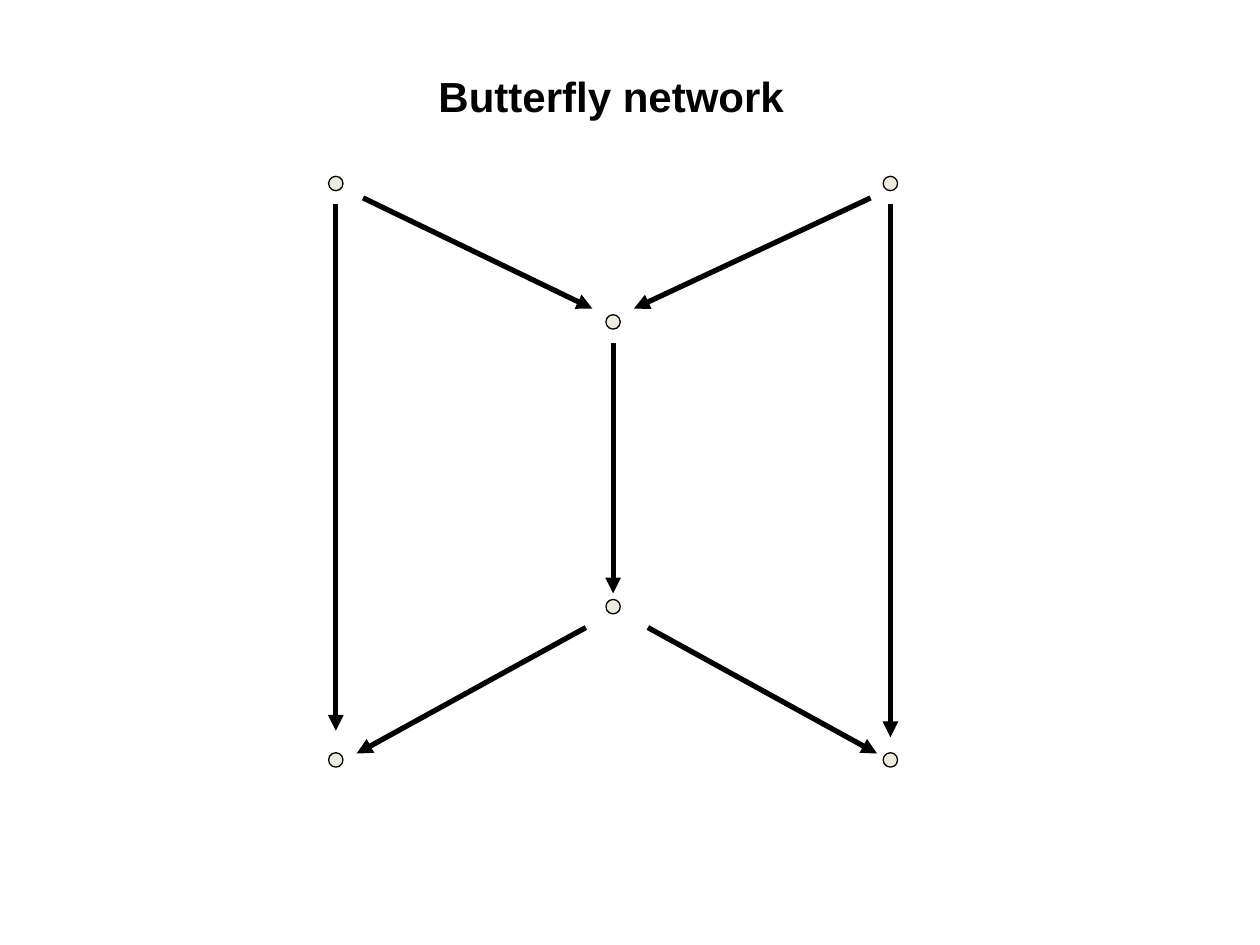
from dataclasses import dataclass

from lxml.etree import SubElement
from pptx import Presentation
from pptx.dml.color import RGBColor
from pptx.enum.shapes import MSO_CONNECTOR, MSO_SHAPE
from pptx.oxml.ns import qn
from pptx.util import Cm, Pt


@dataclass(frozen=True)
class Theme:
    ink: RGBColor = RGBColor(0x00, 0x00, 0x00)
    node_fill: RGBColor = RGBColor(0xEE, 0xEC, 0xE1)
    font: str = "Arial"
    title_size: Pt = Pt(24)
    arrow_width: Pt = Pt(3)
    node_line_width: Pt = Pt(0)


THEME = Theme()

# Node centres and arrow ends are in centimetres.
NODE_DIAMETER = 0.29
LEFT, MIDDLE, RIGHT = (6.77 + 5.59 * column for column in range(3))
TOP, UPPER, LOWER, BOTTOM = 3.7, 6.49, 12.23, 15.32

NODES = [
    (LEFT, TOP), (RIGHT, TOP),
    (MIDDLE, UPPER), (MIDDLE, LOWER),
    (LEFT, BOTTOM), (RIGHT, BOTTOM),
]
ARROWS = [
    ((LEFT, 4.11), (LEFT, 14.73)),
    ((RIGHT, 4.11), (RIGHT, 14.86)),
    ((7.32, 3.99), (11.94, 6.22)),
    ((17.55, 3.99), (12.78, 6.22)),
    ((MIDDLE, 6.91), (MIDDLE, 11.96)),
    ((11.81, 12.65), (7.19, 15.19)),
    ((13.06, 12.65), (17.68, 15.19)),
]


def add_title(slide, text):
    box = slide.shapes.add_textbox(Cm(8.59), Cm(1.3), Cm(7.77), Cm(1.27))
    text_frame = box.text_frame
    text_frame.word_wrap = False
    text_frame.text = text
    font = text_frame.paragraphs[0].runs[0].font
    font.name = THEME.font
    font.size = THEME.title_size
    font.bold = True
    font.color.rgb = THEME.ink


def add_node(shapes, x, y):
    """Draw a network node centred on (x, y)."""
    radius = NODE_DIAMETER / 2
    node = shapes.add_shape(
        MSO_SHAPE.OVAL, Cm(x - radius), Cm(y - radius), Cm(NODE_DIAMETER), Cm(NODE_DIAMETER)
    )
    node.shadow.inherit = False
    node.fill.solid()
    node.fill.fore_color.rgb = THEME.node_fill
    node.line.color.rgb = THEME.ink
    node.line.width = THEME.node_line_width


def add_arrow(shapes, start, end):
    arrow = shapes.add_connector(
        MSO_CONNECTOR.STRAIGHT, *(Cm(value) for value in (*start, *end))
    )
    arrow.line.color.rgb = THEME.ink
    arrow.line.width = THEME.arrow_width
    properties = arrow.element.spPr
    SubElement(properties.find(qn("a:ln")), qn("a:tailEnd"), type="triangle")
    SubElement(properties, qn("a:effectLst"))


def main():
    presentation = Presentation()
    presentation.slide_width = Cm(25.4)
    presentation.slide_height = Cm(19.05)
    slide = presentation.slides.add_slide(presentation.slide_layouts[6])

    network = slide.shapes.add_group_shape()
    for start, end in ARROWS:
        add_arrow(network.shapes, start, end)
    for x, y in NODES:
        add_node(network.shapes, x, y)
    add_title(slide, "Butterfly network")

    presentation.save("out.pptx")


if __name__ == "__main__":
    main()
